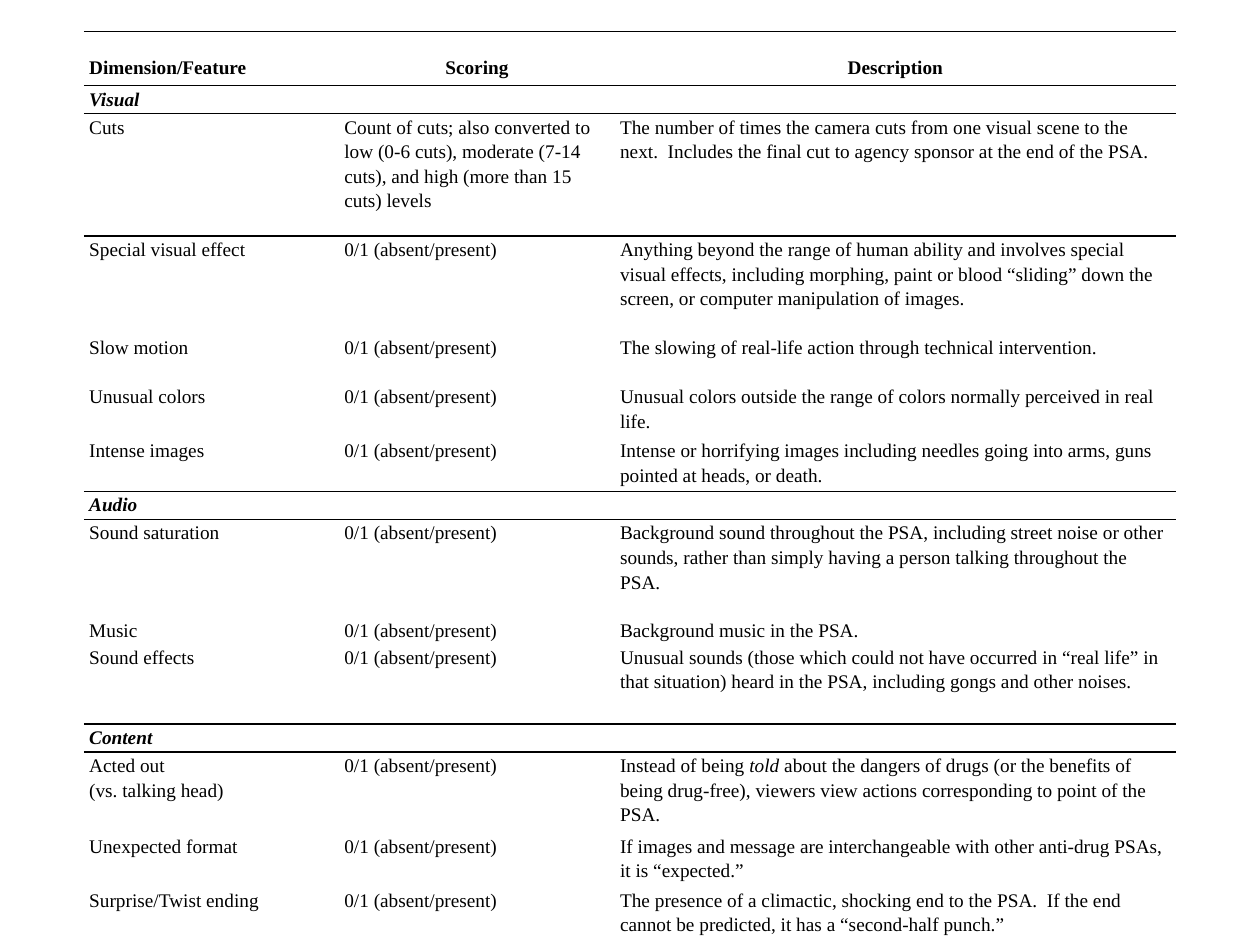
from lxml import etree
from pptx import Presentation
from pptx.dml.color import RGBColor
from pptx.enum.text import PP_ALIGN
from pptx.oxml.ns import qn
from pptx.util import Pt

CENTER = PP_ALIGN.CENTER
BLACK = RGBColor(0, 0, 0)
FONT = "Times New Roman"
SIZE = Pt(11)
NO_STYLE = "{2D5ABB26-0587-4C30-8999-92F81FD0307C}"

WIDTHS = [145.8, 157.6, 320.6]
HEIGHTS = [31, 16, 70, 56, 28, 31, 31, 16, 56, 15, 46, 16, 46, 31, 42]
HEADS = ["Dimension/Feature", "Scoring", "Description"]
BINARY = "0/1 (absent/present)"
ITALIC = "told"

# Each section holds (feature, scoring, description) rows.
SECTIONS = {
    "Visual": [
        ("Cuts",
         "Count of cuts; also converted to low (0-6 cuts), moderate (7-14 cuts), "
         "and high (more than 15 cuts) levels",
         "The number of times the camera cuts from one visual scene to the next.  "
         "Includes the final cut to agency sponsor at the end of the PSA."),
        ("Special visual effect", BINARY,
         "Anything beyond the range of human ability and involves special visual "
         "effects, including morphing, paint or blood “sliding” down the screen, "
         "or computer manipulation of images."),
        ("Slow motion", BINARY,
         "The slowing of real-life action through technical intervention."),
        ("Unusual colors", BINARY,
         "Unusual colors outside the range of colors normally perceived in real life."),
        ("Intense images", BINARY,
         "Intense or horrifying images including needles going into arms, guns "
         "pointed at heads, or death."),
    ],
    "Audio": [
        ("Sound saturation", BINARY,
         "Background sound throughout the PSA, including street noise or other "
         "sounds, rather than simply having a person talking throughout the PSA."),
        ("Music", BINARY, "Background music in the PSA."),
        ("Sound effects", BINARY,
         "Unusual sounds (those which could not have occurred in “real life” in "
         "that situation) heard in the PSA, including gongs and other noises."),
    ],
    "Content": [
        ("Acted out\n(vs. talking head)", BINARY,
         "Instead of being told about the dangers of drugs (or the benefits of "
         "being drug-free), viewers view actions corresponding to point of the PSA."),
        ("Unexpected format", BINARY,
         "If images and message are interchangeable with other anti-drug PSAs, "
         "it is “expected.”"),
        ("Surprise/Twist ending", BINARY,
         "The presence of a climactic, shocking end to the PSA.  If the end "
         "cannot be predicted, it has a “second-half punch.”"),
    ],
}


def add_rule(cell, side):
    """Draw a 1 pt line on the side 'T' or 'B' of a cell."""
    props = cell._tc.get_or_add_tcPr()
    line = etree.SubElement(props, qn("a:ln" + side), w=str(Pt(1)))
    fill = etree.SubElement(line, qn("a:solidFill"))
    etree.SubElement(fill, qn("a:srgbClr"), val=str(BLACK))


def split_word(para, word):
    """Put the given word of a paragraph into its own italic run."""
    before, after = para.text.split(f" {word} ")
    para.text = before + " "
    run = para.add_run()
    run.text = word
    run.font.italic = True
    para.add_run().text = " " + after


def fill_cell(cell, text, bold=False, italic=False, align=None):
    cell.margin_left = cell.margin_right = Pt(3)
    cell.margin_top = cell.margin_bottom = 0
    cell.fill.background()
    cell.text_frame.text = text
    for para in cell.text_frame.paragraphs:
        para.line_spacing = 1.15
        if align:
            para.alignment = align
        if f" {ITALIC} " in para.text:
            split_word(para, ITALIC)
        for run in para.runs:
            font = run.font
            font.name, font.size, font.bold = FONT, SIZE, bold
            font.color.rgb = BLACK
            if italic:
                font.italic = True
        if not para.runs:
            etree.SubElement(para._p, qn("a:endParaRPr"), sz="1100")


def add_features(slide, left, top):
    rows, titles = [HEADS], []
    for title, items in SECTIONS.items():
        titles.append(len(rows))
        rows += [(title, "", ""), *items]

    frame = slide.shapes.add_table(
        len(rows), len(WIDTHS), left, top, Pt(sum(WIDTHS)), Pt(sum(HEIGHTS)))
    table = frame.table
    table.first_row = table.horz_banding = False
    table._tbl.tblPr.find(qn("a:tableStyleId")).text = NO_STYLE
    for col, width in zip(table.columns, WIDTHS):
        col.width = Pt(width)
    for row, height in zip(table.rows, HEIGHTS):
        row.height = Pt(height)

    ruled = {0, 2, len(rows), *titles}
    for r, texts in enumerate(rows):
        head, title = r == 0, r in titles
        for c, text in enumerate(texts):
            cell = table.cell(r, c)
            if r in ruled:
                add_rule(cell, "T")
            if r + 1 in ruled:
                add_rule(cell, "B")
            fill_cell(cell, text, head or title, title,
                      CENTER if head and c else None)
            if head:
                cell.margin_top = Pt(13)


def main():
    deck = Presentation()
    deck.slide_width, deck.slide_height = Pt(720), Pt(540)
    slide = deck.slides.add_slide(deck.slide_layouts[6])
    add_features(slide, Pt(48), Pt(18))
    deck.save("out.pptx")


if __name__ == "__main__":
    main()
